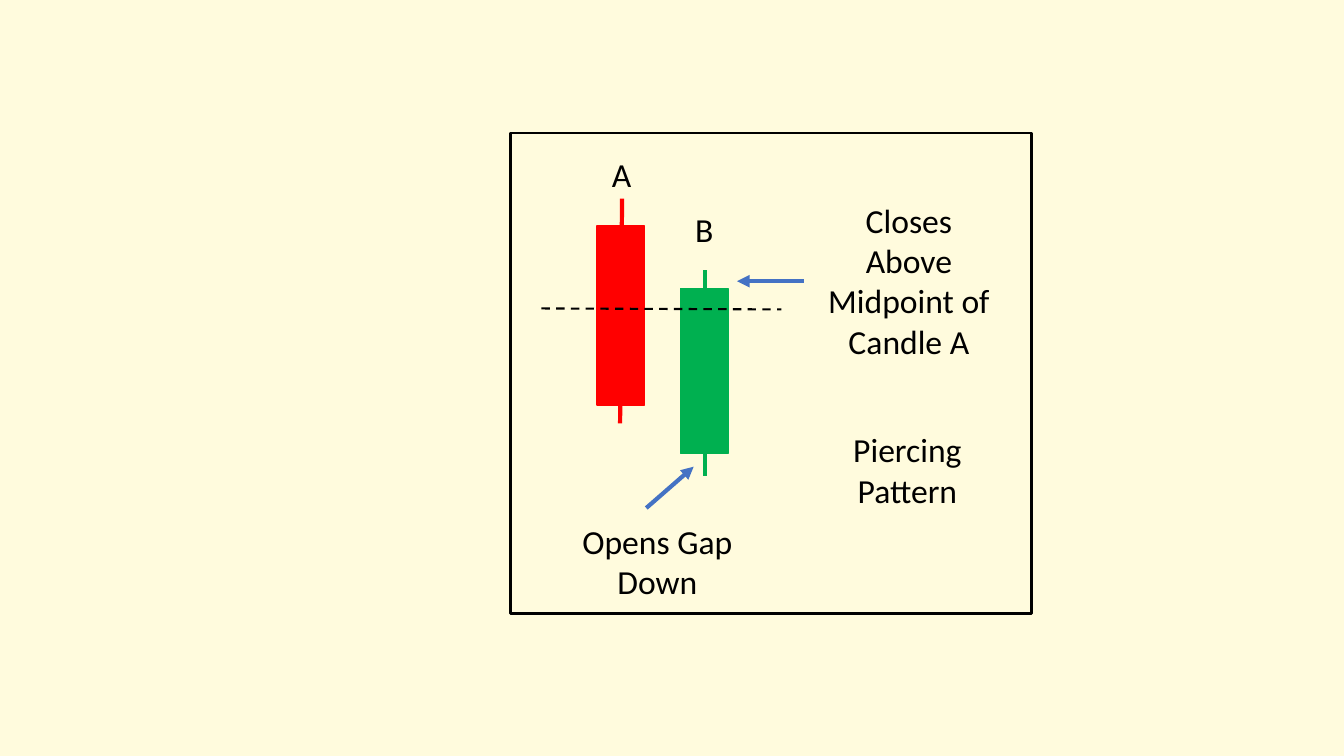
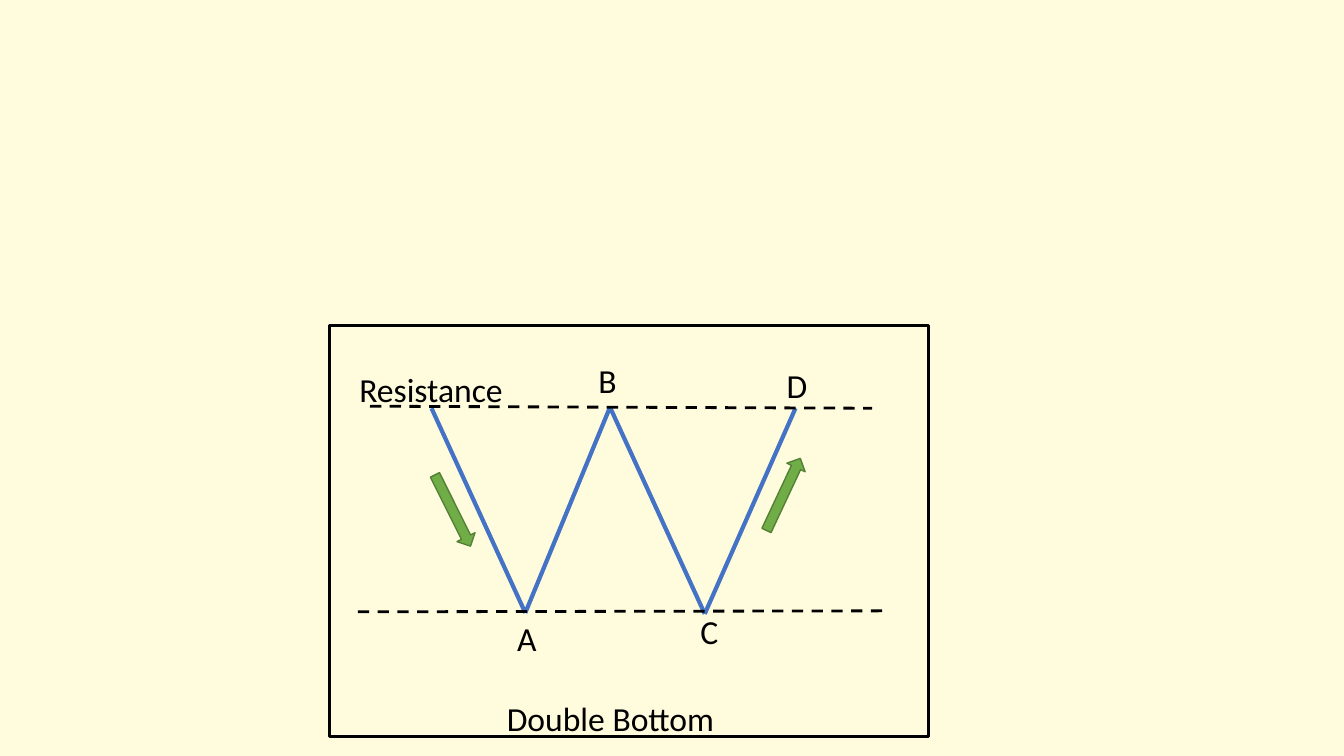
"""Build two candlestick and price pattern diagrams."""
from lxml.etree import SubElement
from pptx import Presentation
from pptx.dml.color import RGBColor
from pptx.enum.dml import MSO_LINE
from pptx.enum.shapes import MSO_CONNECTOR, MSO_SHAPE
from pptx.enum.text import PP_ALIGN
from pptx.oxml.ns import qn
from pptx.util import Inches, Pt

CREAM = RGBColor(0xFF, 0xFB, 0xDD)
BLACK = RGBColor(0, 0, 0)
RED = RGBColor(0xFF, 0, 0)
GREEN = RGBColor(0, 0xB0, 0x50)
BLUE = RGBColor(0x44, 0x72, 0xC4)
LEAF = RGBColor(0x70, 0xAD, 0x47)
DARK_LEAF = RGBColor(0x53, 0x80, 0x35)

PIERCING_FRAME = (5.06, 1.32, 5.17, 4.77)
CANDLES = [
    (RED, (5.92, 2.24, 0.47, 1.78), (6.17, 1.97), (6.15, 4.2)),
    (GREEN, (6.75, 2.86, 0.47, 1.64), (6.99, 4.72), (6.99, 2.68)),
]
POINTERS = [((7.97, 2.79), (7.31, 2.79)), ((6.41, 5.04), (6.88, 4.63))]
MIDPOINT = ((5.37, 3.06), (7.75, 3.07))
PIERCING_LABELS = [
    ("A", (5.88, 1.48, 0.57, 0.5)),
    ("B", (6.7, 2.02, 0.57, 0.5)),
    ("Opens Gap Down", (5.65, 5.12, 1.74, 0.91)),
    ("Closes\nAbove Midpoint of\nCandle A", (7.93, 1.93, 2.17, 1.72)),
    ("Piercing Pattern", (8.13, 4.21, 1.74, 0.91)),
]

BOTTOM_FRAME = (3.27, 3.23, 5.94, 4.08)
LEVELS = [((3.55, 6.07), (8.76, 6.06)), ((3.67, 4.03), (8.65, 4.05))]
PRICE_POINTS = [(4.28, 4.05), (5.21, 6.08), (6.05, 4.04), (6.99, 6.09), (7.89, 4.05)]
TREND_ARROWS = [((4.39, 4.67, 0.2, 0.79), 153.5), ((7.67, 4.51, 0.2, 0.79), 25.1)]
BOTTOM_LABELS = [
    ("A", (4.95, 6.08, 0.55, 0.5)),
    ("B", (5.75, 3.52, 0.55, 0.5)),
    ("C", (6.76, 6.01, 0.55, 0.5)),
    ("D", (7.63, 3.57, 0.55, 0.5)),
    ("Resistance", (3.37, 3.61, 1.81, 0.5)),
    ("Double Bottom", (4.75, 6.87, 2.61, 0.5)),
]


def add_text(slide, text, box, size=24, color=BLACK, font="Calibri", align=PP_ALIGN.CENTER):
    frame = slide.shapes.add_textbox(*map(Inches, box)).text_frame
    frame.word_wrap = True
    frame.text = text
    for paragraph in frame.paragraphs:
        paragraph.alignment = align
        paragraph.font.size = Pt(size)
        paragraph.font.name = font
        paragraph.font.color.rgb = color


def add_block(slide, kind, box, line, width=1, fill=None, rotation=0):
    shape = slide.shapes.add_shape(kind, *map(Inches, box))
    shape.shadow.inherit = False
    shape.rotation = rotation
    shape.line.color.rgb = line
    shape.line.width = Pt(width)
    if fill is None:
        shape.fill.background()
    else:
        shape.fill.solid()
        shape.fill.fore_color.rgb = fill


def add_line(slide, start, end, color, width=3, dashed=False, arrow=False):
    connector = slide.shapes.add_connector(
        MSO_CONNECTOR.STRAIGHT, *map(Inches, (*start, *end)))
    connector.line.color.rgb = color
    connector.line.width = Pt(width)
    if dashed:
        connector.line.dash_style = MSO_LINE.DASH
    properties = connector.element.spPr
    if arrow:
        SubElement(properties.find(qn("a:ln")), qn("a:tailEnd"), type="triangle")
    SubElement(properties, qn("a:effectLst"))


def add_framed_slide(presentation, frame):
    slide = presentation.slides.add_slide(presentation.slide_layouts[6])
    slide.background.fill.solid()
    slide.background.fill.fore_color.rgb = CREAM
    add_block(slide, MSO_SHAPE.RECTANGLE, frame, BLACK, width=2)
    return slide


def add_labels(slide, labels):
    for text, box in labels:
        add_text(slide, text, box)


def build_piercing_pattern(presentation):
    slide = add_framed_slide(presentation, PIERCING_FRAME)
    for color, body, start, end in CANDLES:
        add_block(slide, MSO_SHAPE.RECTANGLE, body, color, fill=color)
        add_line(slide, start, end, color)
    for start, end in POINTERS:
        add_line(slide, start, end, BLUE, arrow=True)
    add_line(slide, *MIDPOINT, BLACK, width=1.5, dashed=True)
    add_labels(slide, PIERCING_LABELS)


def build_double_bottom(presentation):
    slide = add_framed_slide(presentation, BOTTOM_FRAME)
    for box, rotation in TREND_ARROWS:
        add_block(slide, MSO_SHAPE.UP_ARROW, box, DARK_LEAF, fill=LEAF, rotation=rotation)
    for start, end in zip(PRICE_POINTS, PRICE_POINTS[1:]):
        add_line(slide, start, end, BLUE)
    for start, end in LEVELS:
        add_line(slide, start, end, BLACK, width=2, dashed=True)
    add_labels(slide, BOTTOM_LABELS)


def main():
    presentation = Presentation()
    presentation.slide_width = Inches(13.33)
    presentation.slide_height = Inches(7.5)
    build_piercing_pattern(presentation)
    build_double_bottom(presentation)
    presentation.save("out.pptx")


if __name__ == "__main__":
    main()
